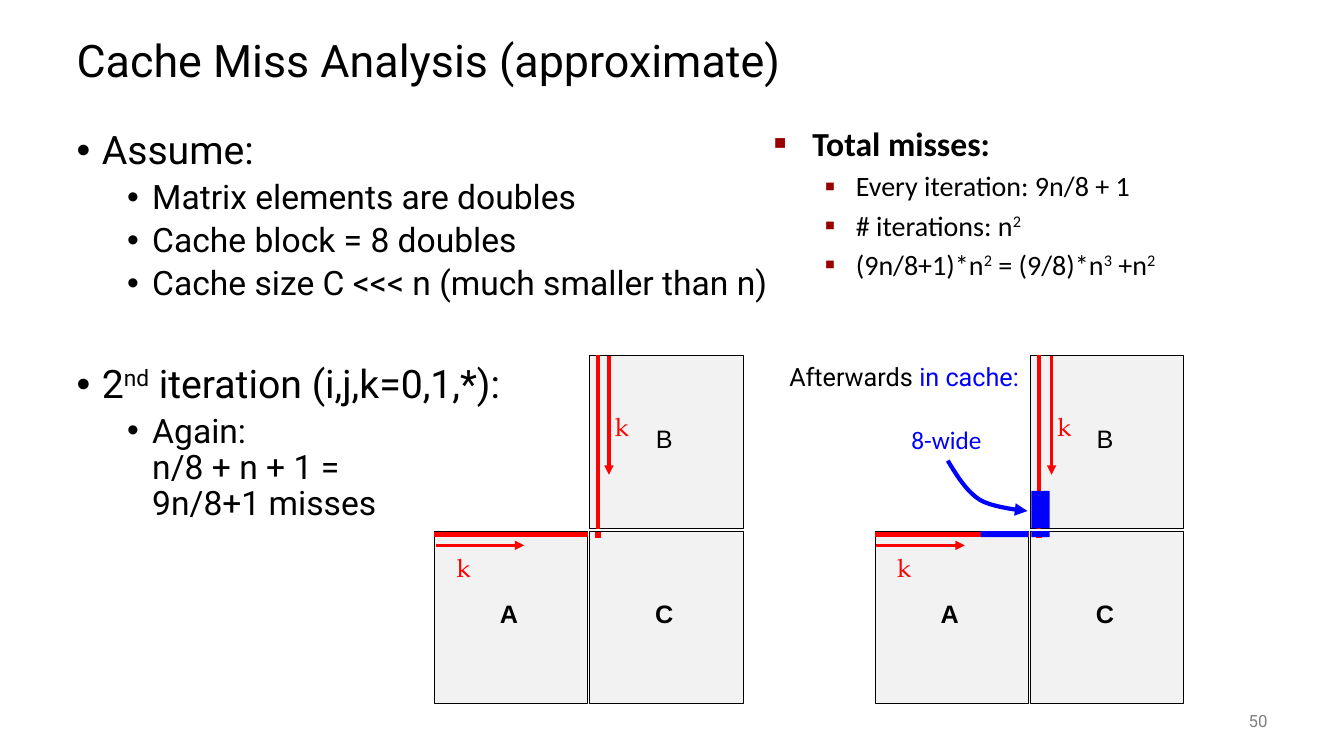
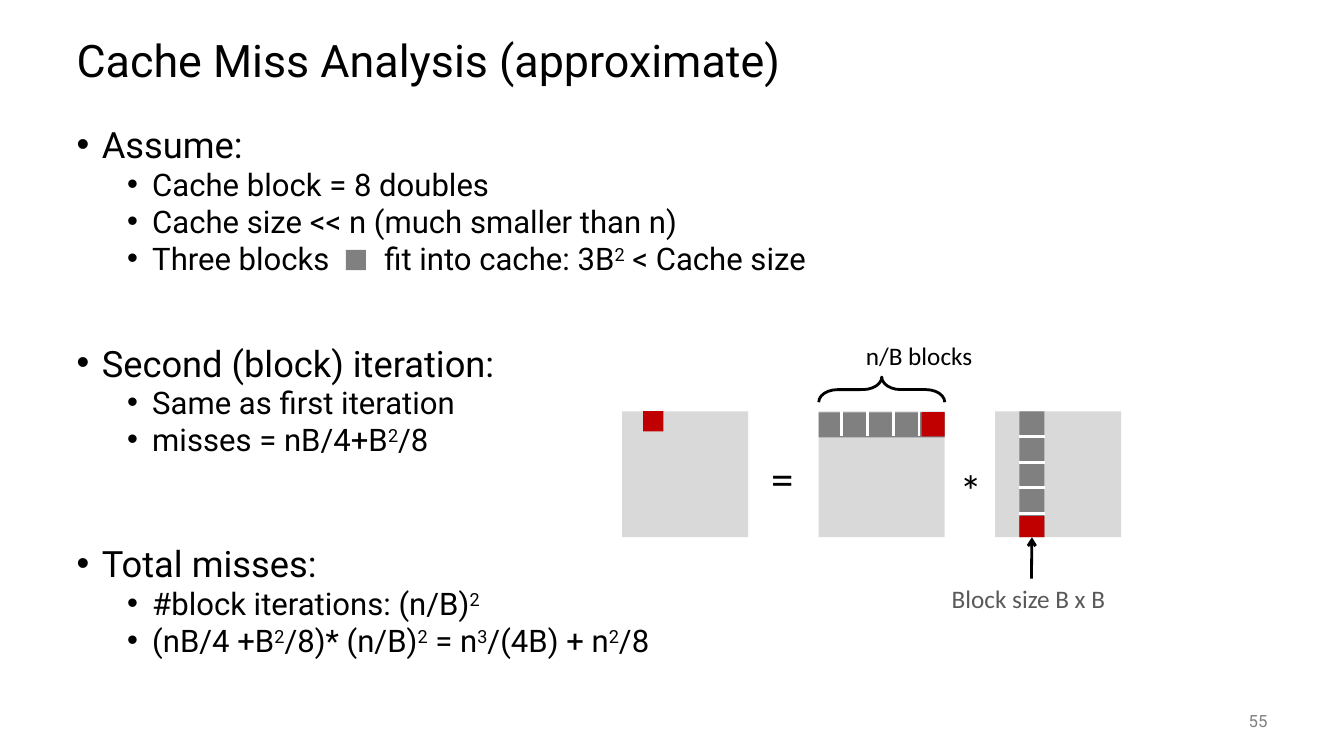
import lxml.etree
import pptx
import pptx.dml.color
import pptx.enum.shapes
import pptx.enum.text
import pptx.oxml.ns
import pptx.util

BLACK = pptx.dml.color.RGBColor(0x00, 0x00, 0x00)
WHITE = pptx.dml.color.RGBColor(0xFF, 0xFF, 0xFF)
RED = pptx.dml.color.RGBColor(0xFF, 0x00, 0x00)
BLUE = pptx.dml.color.RGBColor(0x00, 0x00, 0xFF)
CRIMSON = pptx.dml.color.RGBColor(0xC0, 0x00, 0x00)
MAROON = pptx.dml.color.RGBColor(0x99, 0x00, 0x00)
PALE_GRAY = pptx.dml.color.RGBColor(0xF2, 0xF2, 0xF2)
LIGHT_GRAY = pptx.dml.color.RGBColor(0xD9, 0xD9, 0xD9)
GRAY = pptx.dml.color.RGBColor(0x80, 0x80, 0x80)
DARK_GRAY = pptx.dml.color.RGBColor(0x59, 0x59, 0x59)
TITLE = "Cache Miss Analysis (approximate)"

Inches = pptx.util.Inches
qualified = pptx.oxml.ns.qn


def write_text(paragraph, text, size=18, font="Roboto", color=BLACK, bold=False,
               align=None, line_spacing=None, before=0, level=0, indent=None, bullet=None):
    """Append text to a paragraph; ^...^ marks superscript, a newline is a line break."""
    if bullet:
        character, bullet_color, percent = bullet
        properties = paragraph._p.get_or_add_pPr()
        properties.set("marL", str(Inches(indent[0])))
        properties.set("indent", str(Inches(-indent[1])))
        color_element = lxml.etree.SubElement(properties, qualified("a:buClr"))
        lxml.etree.SubElement(color_element, qualified("a:srgbClr"), val=str(bullet_color))
        lxml.etree.SubElement(properties, qualified("a:buSzPct"), val=str(percent * 1000))
        lxml.etree.SubElement(properties, qualified("a:buFont"), typeface="Arial")
        lxml.etree.SubElement(properties, qualified("a:buChar"), char=character)
    paragraph.level = level
    paragraph.space_before = pptx.util.Pt(before)
    paragraph.line_spacing = line_spacing
    paragraph.alignment = align
    for line_index, line in enumerate(text.split("\n")):
        if line_index:
            paragraph.add_line_break()
            lxml.etree.SubElement(paragraph._p[-1], qualified("a:rPr"), sz=str(int(size * 100)))
        for part_index, part in enumerate(line.split("^")):
            if not part:
                continue
            run = paragraph.add_run()
            run.text = part
            run.font.size = pptx.util.Pt(size)
            run.font.name = font
            run.font.bold = bold
            run.font.color.rgb = color
            if part_index % 2:
                run.font._element.set("baseline", "30000")
    return run


def add_rectangle(slide, left, top, width, height, fill, line=None):
    shape = slide.shapes.add_shape(
        pptx.enum.shapes.MSO_SHAPE.RECTANGLE,
        Inches(left), Inches(top), Inches(width), Inches(height))
    shape.shadow.inherit = False
    shape.fill.solid()
    shape.fill.fore_color.rgb = fill
    if line is None:
        shape.line.fill.background()
    else:
        shape.line.color.rgb = line
        shape.line.width = pptx.util.Pt(0.75)
    return shape


presentation = pptx.Presentation()
presentation.slide_width = Inches(13.33)
presentation.slide_height = Inches(7.5)

# Shared title and body frames
layout = presentation.slide_layouts[1]
for placeholder, top, height in zip(layout.placeholders, (0.25, 1.25), (0.75, 5.5)):
    placeholder.left, placeholder.top = Inches(0.66), Inches(top)
    placeholder.width, placeholder.height = Inches(12), Inches(height)

miss_slide = presentation.slides.add_slide(layout)
block_slide = presentation.slides.add_slide(layout)
labels = []  # slide, left, top, width, font, size, text pieces with colours
lines = []   # slide, start, end, colour, width, arrowhead, shape joined at its bottom

# Titles and page numbers
for slide, number in ((miss_slide, "50"), (block_slide, "55")):
    frame = slide.shapes.title.text_frame
    frame.auto_size = pptx.enum.text.MSO_AUTO_SIZE.NONE
    frame.vertical_anchor = pptx.enum.text.MSO_ANCHOR.MIDDLE
    write_text(frame.paragraphs[0], TITLE, size=32, line_spacing=0.9,
               align=pptx.enum.text.PP_ALIGN.LEFT)
    frame = slide.shapes.add_textbox(Inches(11.67), Inches(6.95), Inches(1), Inches(0.4)).text_frame
    frame.word_wrap = True
    frame.vertical_anchor = pptx.enum.text.MSO_ANCHOR.MIDDLE
    write_text(frame.paragraphs[0], number, size=12, color=GRAY,
               align=pptx.enum.text.PP_ALIGN.RIGHT)

# Bulleted lists: entries are level, space before, text
miss_entries = [
    (0, 0, "Assume:"),
    (1, 5, "Matrix elements are doubles"),
    (1, 5, "Cache block = 8 doubles"),
    (1, 5, "Cache size C <<< n (much smaller than n)"),
    (0, 44, "2^nd^ iteration (i,j,k=0,1,*):"),
    (1, 5, "Again:\nn/8 + n + 1 =\n9n/8+1 misses"),
]
total_entries = [
    (0, 0, "Total misses:"),
    (1, 4, "Every iteration: 9n/8 + 1"),
    (1, 4, "# iterations: n^2^"),
    (1, 4, "(9n/8+1)*n^2^ = (9/8)*n^3^ +n^2^"),
]
block_entries = [
    (0, 0, "Assume:"),
    (1, 5, "Cache block = 8 doubles"),
    (1, 5, "Cache size << n (much smaller than n)"),
    (1, 5, "Three blocks"),
    (0, 52, "Second (block) iteration:"),
    (1, 5, "Same as first iteration"),
    (1, 5, "misses = nB/4+B^2^/8"),
    (0, 66, "Total misses:"),
    (1, 5, "#block iterations: (n/B)^2^"),
    (1, 5, "(nB/4 +B^2^/8)* (n/B)^2^ = n^3^/(4B) + n^2^/8"),
]
body_indents = ((0.25, 0.25), (0.75, 0.25))
total_indents = ((0.38, 0.38), (0.81, 0.31))
dots = (("•", BLACK, 100),) * 2
squares = (("■", MAROON, 60), ("▪", MAROON, 110))
total_box = miss_slide.shapes.add_textbox(Inches(7.58), Inches(1.17), Inches(4.08), Inches(2.17))
for shape, entries, font, sizes, spacing, indents, bullets in (
        (miss_slide.placeholders[1], miss_entries, "Roboto", (28, 24), 0.9, body_indents, dots),
        (total_box, total_entries, "Calibri", (24, 20), 1.0, total_indents, squares),
        (block_slide.placeholders[1], block_entries, "Roboto", (25.9, 22.2), 0.8,
         body_indents, dots)):
    frame = shape.text_frame
    frame.word_wrap = True
    frame.auto_size = pptx.enum.text.MSO_AUTO_SIZE.NONE
    for index, (level, before, text) in enumerate(entries):
        paragraph = frame.add_paragraph() if index else frame.paragraphs[0]
        write_text(paragraph, text, size=sizes[level], font=font, level=level,
                   bold=shape is total_box and level == 0, line_spacing=spacing,
                   before=before, indent=indents[level], bullet=bullets[level])

# Widely spaced gap for the square inside the block list
paragraph = block_slide.placeholders[1].text_frame.paragraphs[3]
gap_format = {"size": 22.2, "level": 1, "before": 5, "line_spacing": 0.8}
write_text(paragraph, " ", **gap_format).font._element.set("spc", "3350")
write_text(paragraph, "fit into cache: 3B^2^ < Cache size", **gap_format)
add_rectangle(block_slide, 3.43, 2.48, 0.2, 0.2, GRAY)

# Matrix diagrams A, B, C before and after the iteration
tile_width, tile_height = 1.52, 1.71
upper, lower = 3.53, 5.27
for left, arrow_left in ((4.31, 6.04), (8.68, 10.43)):
    right = left + 1.54
    for name, tile_left, tile_top in (("A", left, lower), ("B", right, upper), ("C", right, lower)):
        tile = add_rectangle(miss_slide, tile_left, tile_top, tile_width, tile_height,
                             PALE_GRAY, BLACK)
        frame = tile.text_frame
        frame.vertical_anchor = pptx.enum.text.MSO_ANCHOR.MIDDLE
        frame.margin_right, frame.margin_bottom = Inches(0.14), Inches(0.12)
        write_text(frame.paragraphs[0], name, font="Arial", bold=name != "B",
                   align=pptx.enum.text.PP_ALIGN.CENTER)
    add_rectangle(miss_slide, right + 0.07, upper, 0.03, tile_height, RED, RED)
    add_rectangle(miss_slide, left, lower + 0.01, tile_width, 0.04, RED, RED)
    add_rectangle(miss_slide, right + 0.06, lower + 0.01, 0.05, 0.05, RED, RED)
    lines.append((miss_slide, (left + 0.01, 5.41), (left + 0.89, 5.41), RED, 2.25, "triangle", None))
    lines.append((miss_slide, (arrow_left, upper), (arrow_left, 4.71), RED, 2.25, "triangle", None))
    for k_left, k_top in ((left + 0.12, 5.43), (arrow_left - 0.04, 4.03)):
        labels.append((miss_slide, k_left, k_top, 0.36, "TeX Gyre Pagella", 18, (("k", RED),)))

# Cached parts and the curved arrow
for left, top, width, height in ((9.73, lower, 0.47, 0.06), (10.23, 4.87, 0.18, 0.37),
                                 (10.23, lower, 0.18, 0.06)):
    add_rectangle(miss_slide, left, top, width, height, BLUE)
curves = (((9.4, 4.57), (9.49, 4.72), (9.59, 4.88), (9.72, 4.96)),
          ((9.72, 4.96), (9.85, 5.04), (10.19, 5.07), (10.19, 5.07)))
points = []
for curve in curves:
    for step in range(1, 11):
        t = step / 10
        weights = ((1 - t) ** 3, 3 * t * (1 - t) ** 2, 3 * t ** 2 * (1 - t), t ** 3)
        points.append(tuple(
            Inches(sum(weight * point[axis] for weight, point in zip(weights, curve)))
            for axis in (0, 1)))
builder = miss_slide.shapes.build_freeform(Inches(9.4), Inches(4.57))
builder.add_line_segments(points, close=False)
curved_arrow = builder.convert_to_shape()
curved_arrow.shadow.inherit = False
curved_arrow.fill.background()
curved_arrow.line.color.rgb = BLUE
curved_arrow.line.width = pptx.util.Pt(3)
lxml.etree.SubElement(curved_arrow.line._get_or_add_ln(), qualified("a:tailEnd"), type="triangle")
labels += [
    (miss_slide, 8.94, 4.16, 0.92, "Calibri", 18, (("8-wide", BLUE),)),
    (miss_slide, 7.73, 3.54, 2.6, "Roboto", 18, (("Afterwards ", BLACK), ("in cache:", BLUE))),
]

# Blocked matrices: result = row of blocks * column of blocks
matrix_top, matrix_side, block_side = 4.08, 1.25, 0.25
result_left, row_left, column_left = 6.17, 8.12, 9.87
for left in (result_left, row_left, column_left):
    add_rectangle(block_slide, left, matrix_top, matrix_side, matrix_side, LIGHT_GRAY)
strip_left = 10.11
add_rectangle(block_slide, result_left + 0.21, matrix_top, 0.2, 0.2, CRIMSON)
add_rectangle(block_slide, row_left, matrix_top + 0.01, matrix_side, block_side, GRAY)
add_rectangle(block_slide, strip_left, matrix_top, block_side, matrix_side, GRAY)
add_rectangle(block_slide, 9.14, matrix_top + 0.01, 0.23, 0.24, CRIMSON)
column_block = add_rectangle(block_slide, strip_left, 5.12, block_side, 0.21, CRIMSON)
for index in range(4):
    x, y = 8.35 + 0.255 * index, 4.33 + 0.255 * index
    lines.append((block_slide, (x, matrix_top), (x, matrix_top + block_side),
                  WHITE, 2, None, None))
    lines.append((block_slide, (strip_left + block_side, y), (strip_left, y),
                  WHITE, 2, None, None))
lines.append((block_slide, (10.23, 5.74), (10.23, 5.33), BLACK, 2, "arrow", column_block))

# Brace above the row of blocks
brace = block_slide.shapes.add_shape(
    pptx.enum.shapes.MSO_SHAPE.LEFT_BRACE,
    Inches(8.62), Inches(3.24), Inches(block_side), Inches(matrix_side))
brace.rotation = 90
brace.adjustments[0] = 0.75
brace.shadow.inherit = False
brace.fill.background()
brace.line.color.rgb = BLACK
brace.line.width = pptx.util.Pt(2)
labels += [
    (block_slide, 9.42, 4.54, 0.43, "Calibri", 32, (("*", BLACK),)),
    (block_slide, 7.55, 4.42, 0.43, "Calibri", 32, (("=", BLACK),)),
    (block_slide, 9.34, 5.74, 1.78, "Calibri", 18, (("Block size B x B", DARK_GRAY),)),
    (block_slide, 8.49, 3.33, 1.3, "Calibri", 18, (("n/B blocks", BLACK),)),
]

# Lines and arrows
for slide, start, end, color, width, arrowhead, target in lines:
    connector = slide.shapes.add_connector(
        pptx.enum.shapes.MSO_CONNECTOR.STRAIGHT, *map(Inches, start + end))
    if target is not None:
        connector.end_connect(target, 2)
    connector.line.color.rgb = color
    connector.line.width = pptx.util.Pt(width)
    if arrowhead:
        lxml.etree.SubElement(connector.line._get_or_add_ln(), qualified("a:tailEnd"),
                              type=arrowhead)
    lxml.etree.SubElement(connector._element.spPr, qualified("a:effectLst"))

# Labels
for slide, left, top, width, font, size, pieces in labels:
    box = slide.shapes.add_textbox(Inches(left), Inches(top), Inches(width), Inches(size / 45))
    box.text_frame.word_wrap = True
    for text, color in pieces:
        write_text(box.text_frame.paragraphs[0], text, size=size, font=font, color=color)

presentation.save("out.pptx")
